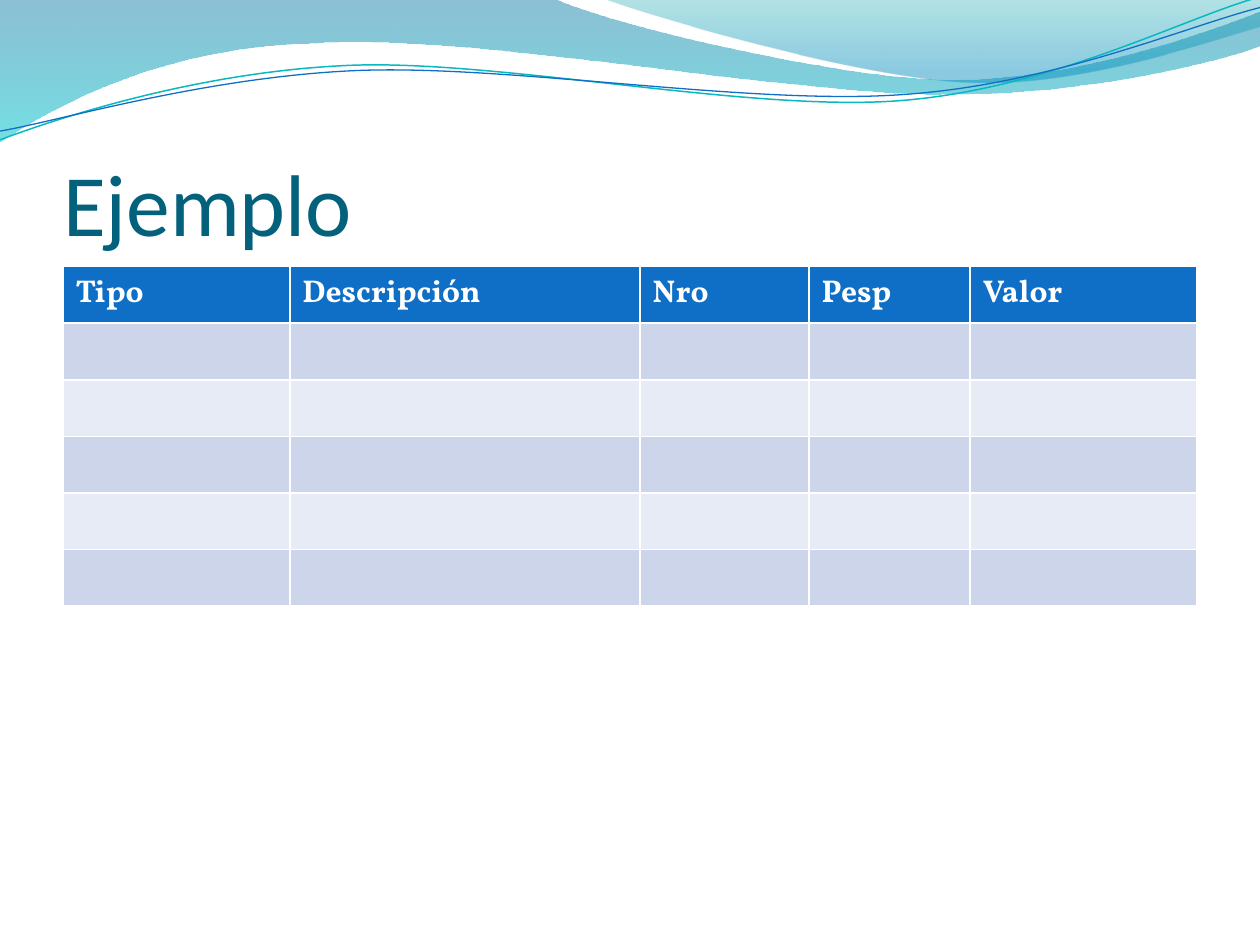
from dataclasses import dataclass

from lxml import etree
from pptx import Presentation
from pptx.dml.color import RGBColor as RGB
from pptx.enum.text import MSO_ANCHOR as Anchor, MSO_AUTO_SIZE as AutoSize, PP_ALIGN as Align
from pptx.oxml.ns import qn
from pptx.util import Pt


@dataclass(frozen=True)
class Theme:
    title_font: str = "Calibri"
    body_font: str = "Vollkorn"
    title_size: int = 50
    body_size: int = 18
    title: str = "04617B"
    header: str = "0F6FC6"
    header_text: str = "FFFFFF"
    bands: tuple = ("CCD5EA", "E7EBF5")
    wide_wave: tuple = ((0, "0074A1", 45), (1, "00C6CF", 55))
    right_wave: tuple = ((0, "00A1A9", 30), (0.8, "008BBF", 45))
    teal_line: str = "0AB8BF"
    blue_line: str = "0F6FC6"


def add_outline(shapes, start, segments, close):
    points = [point for segment in segments for point in segment]
    builder = shapes.build_freeform(Pt(start[0]), Pt(start[1]))
    builder.add_line_segments([(Pt(x), Pt(y)) for x, y in points], close=close)
    shape = builder.convert_to_shape()
    shape.shadow.inherit = False
    path = next(shape._element.iter(qn("a:path")))
    steps = iter(path.findall(qn("a:lnTo")))
    for segment in segments:
        pieces = [next(steps) for point in segment]
        if len(pieces) == 3:
            curve = etree.Element(qn("a:cubicBezTo"))
            pieces[0].addprevious(curve)
            for piece in pieces:
                curve.append(piece[0])
                path.remove(piece)
    return shape


def format_font(font, values):
    for name, value in values.items():
        if name == "color":
            font.color.rgb = RGB.from_string(value)
        else:
            setattr(font, name, value)


theme = Theme()
presentation = Presentation()
presentation.slide_width, presentation.slide_height = Pt(720), Pt(540)
slide = presentation.slides.add_slide(presentation.slide_layouts[5])

waves = [
    (theme.wide_wave, (0, 0), [
        [(316.8, -0.7)],
        [(342.7, 12.2), (478.1, 45.4), (545.8, 45.4)],
        [(614.2, 45.4), (689.8, 18.7), (720, 6.5)],
        [(720.7, 25.9)],
        [(707.8, 31.7), (626.4, 54.7), (537.1, 54)],
        [(447.8, 54), (275, 20.2), (185, 24.5)],
        [(92.9, 25.9), (33.1, 59.8), (-0.7, 81.4)],
    ]),
    (theme.right_wave, (344.9, -0.7), [
        [(366.5, 7.9), (491, 44.6), (553.7, 46.8)],
        [(616.3, 49.7), (691.9, 23), (720, 15.1)],
        [(720, 0)],
    ]),
]
for stops, start, segments in waves:
    wave = add_outline(slide.shapes, start, segments, close=True)
    wave.line.fill.background()
    wave.fill.gradient()
    wave.fill.gradient_angle = 270
    for stop, (position, color, opacity) in zip(wave.fill.gradient_stops, stops):
        stop.position = position
        stop.color.rgb = RGB.from_string(color)
        color_element = next(stop._gs.iter(qn("a:srgbClr")))
        etree.SubElement(color_element, qn("a:alpha"), val=str(opacity * 1000))

lines = [
    (theme.teal_line, 0.85, (0, 79.9), [
        [(34.6, 67), (113.8, 41), (199.4, 37.4)],
        [(284.4, 33.8), (427, 64.1), (513.4, 57.6)],
        [(599.8, 51.1), (675.4, 10.8), (718.6, -1.4)],
    ]),
    (theme.blue_line, 0.75, (0, 74.9), [
        [(33.8, 69.1), (118.1, 43.9), (203.8, 40.3)],
        [(290.2, 36.7), (429.8, 60.5), (516.2, 54)],
        [(601.9, 48.2), (677.5, 15.1), (720, 4.3)],
    ]),
]
for color, width, start, segments in lines:
    line = add_outline(slide.shapes, start, segments, close=False)
    line.fill.background()
    line.line.color.rgb = RGB.from_string(color)
    line.line.width = Pt(width)

title = slide.shapes.title
slide.shapes._spTree.append(title._element)
title.left, title.top, title.width, title.height = Pt(36), Pt(55.4), Pt(648), Pt(90)
title.text = "Ejemplo"
frame_format = {
    "vertical_anchor": Anchor.BOTTOM,
    "auto_size": AutoSize.NONE,
    "word_wrap": True,
    "margin_left": 0,
    "margin_top": Pt(3.6),
    "margin_right": 0,
    "margin_bottom": 0,
}
for name, value in frame_format.items():
    setattr(title.text_frame, name, value)
paragraph = title.text_frame.paragraphs[0]
paragraph.alignment = Align.LEFT
format_font(paragraph.runs[0].font, {
    "name": theme.title_font, "size": Pt(theme.title_size), "color": theme.title,
})

headings = ["Tipo", "Descripción", "Nro", "Pesp", "Valor"]
column_widths = [129.6, 200.2, 96.5, 92.1, 129.6]
row_count, row_height = 6, 29.2
table = slide.shapes.add_table(
    row_count, len(headings), Pt(36), Pt(152.4), Pt(648), Pt(row_count * row_height)
).table
for column, width in zip(table.columns, column_widths):
    column.width = Pt(width)
for row_index, row in enumerate(table.rows):
    row.height = Pt(row_height)
    for cell, heading in zip(row.cells, headings):
        color = theme.bands[(row_index - 1) % 2] if row_index else theme.header
        cell.fill.solid()
        cell.fill.fore_color.rgb = RGB.from_string(color)
        paragraph = cell.text_frame.paragraphs[0]
        if row_index == 0:
            paragraph.text = heading
            format_font(paragraph.runs[0].font, {
                "name": theme.body_font, "size": Pt(theme.body_size),
                "bold": True, "color": theme.header_text,
            })
        else:
            end = etree.SubElement(
                paragraph._p, qn("a:endParaRPr"), sz=str(theme.body_size * 100)
            )
            etree.SubElement(end, qn("a:latin"), typeface=theme.body_font)

presentation.save("out.pptx")
